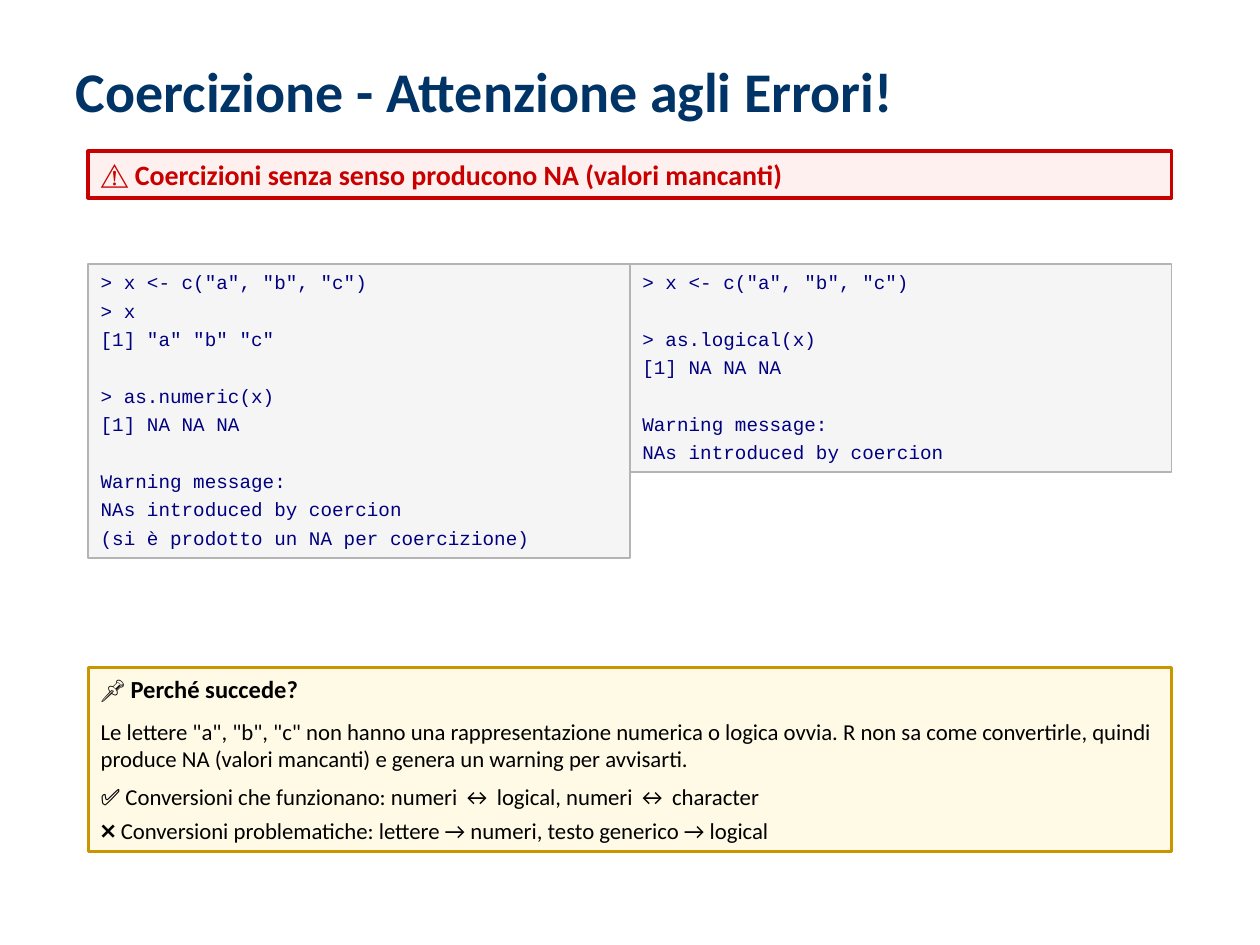
from dataclasses import dataclass

from pptx import Presentation
from pptx.dml.color import RGBColor
from pptx.enum.shapes import MSO_SHAPE
from pptx.enum.text import MSO_ANCHOR, MSO_AUTO_SIZE, PP_ALIGN
from pptx.slide import Slide
from pptx.text.text import TextFrame
from pptx.util import Cm, Pt

HEX = {
    "navy": "003366", "red": "C80000", "pink": "FFF0F0",
    "code": "000080", "pale": "F5F5F5", "grey": "B4B4B4",
    "black": "000000", "cream": "FFFAE6", "gold": "C89600",
}
LEFT, WIDE = 1.78, 21.84
HALF = WIDE / 2
STEP, GAP = 3, 19.2  # points before a code line, and before a new code group


@dataclass
class Line:
    text: str
    size: float
    color: str
    bold: bool = False
    font: str = "Calibri"
    before: float = 0


@dataclass
class Box:
    left: float
    top: float
    width: float
    height: float
    fill: str
    edge: str
    weight: float
    lines: list[Line]


def rgb(name: str) -> RGBColor:
    return RGBColor.from_string(HEX[name])


def write(frame: TextFrame, lines: list[Line]) -> None:
    frame.word_wrap = True
    frame.auto_size = MSO_AUTO_SIZE.SHAPE_TO_FIT_TEXT
    frame.vertical_anchor = MSO_ANCHOR.TOP
    for i, line in enumerate(lines):
        para = frame.add_paragraph() if i else frame.paragraphs[0]
        para.text = line.text
        para.alignment = PP_ALIGN.LEFT
        para.space_before = Pt(line.before)
        font = para.font
        font.name, font.size, font.bold = line.font, Pt(line.size), line.bold
        font.color.rgb = rgb(line.color)


def draw(slide: Slide, box: Box) -> None:
    shape = slide.shapes.add_shape(
        MSO_SHAPE.RECTANGLE,
        Cm(box.left), Cm(box.top), Cm(box.width), Cm(box.height))
    shape.shadow.inherit = False
    shape.fill.solid()
    shape.fill.fore_color.rgb = rgb(box.fill)
    shape.line.color.rgb = rgb(box.edge)
    shape.line.width = Pt(box.weight)
    write(shape.text_frame, box.lines)


def code(groups: list[list[str]]) -> list[Line]:
    """Code lines, with a wider gap ahead of each later group."""
    lines = [Line(text, 11, "code", font="Courier New",
                  before=STEP if i else GAP)
             for group in groups for i, text in enumerate(group)]
    lines[0].before = 0
    return lines


START = '> x <- c("a", "b", "c")'
EMPTY = "[1] NA NA NA"
WARN = ["Warning message:", "NAs introduced by coercion"]

BOXES = [
    # Warning banner
    Box(LEFT, 3.05, WIDE, 0.94, "pink", "red", 2, [
        Line("⚠️ Coercizioni senza senso producono NA (valori mancanti)",
             16, "red", True)]),
    # Code panels
    Box(LEFT, 5.33, HALF, 5.92, "pale", "grey", 1, code([
        [START, "> x", '[1] "a" "b" "c"'],
        ["> as.numeric(x)", EMPTY],
        [*WARN, "(si è prodotto un NA per coercizione)"]])),
    Box(LEFT + HALF, 5.33, HALF, 4.19, "pale", "grey", 1, code([
        [START], ["> as.logical(x)", EMPTY], WARN])),
    # Explanation
    Box(LEFT, 13.46, WIDE, 3.71, "cream", "gold", 1.5, [
        Line("📌 Perché succede?", 14, "black", True),
        Line('Le lettere "a", "b", "c" non hanno una rappresentazione '
             "numerica o logica ovvia. R non sa come convertirle, quindi "
             "produce NA (valori mancanti) e genera un warning per avvisarti.",
             13, "black", before=8),
        Line("✅ Conversioni che funzionano: numeri ↔ logical, "
             "numeri ↔ character", 13, "black", before=6),
        Line("❌ Conversioni problematiche: lettere → numeri, "
             "testo generico → logical", 13, "black", before=4)]),
]


def main() -> None:
    deck = Presentation()
    deck.slide_width, deck.slide_height = Cm(25.4), Cm(19.05)
    slide = deck.slides.add_slide(deck.slide_layouts[5])

    # Title
    title = slide.shapes.title
    title.left, title.top = Cm(1.27), Cm(1.02)
    title.width, title.height = Cm(22.86), Cm(1.63)
    write(title.text_frame, [
        Line("Coercizione - Attenzione agli Errori!", 32, "navy", True)])

    for box in BOXES:
        draw(slide, box)
    deck.save("out.pptx")


if __name__ == "__main__":
    main()
